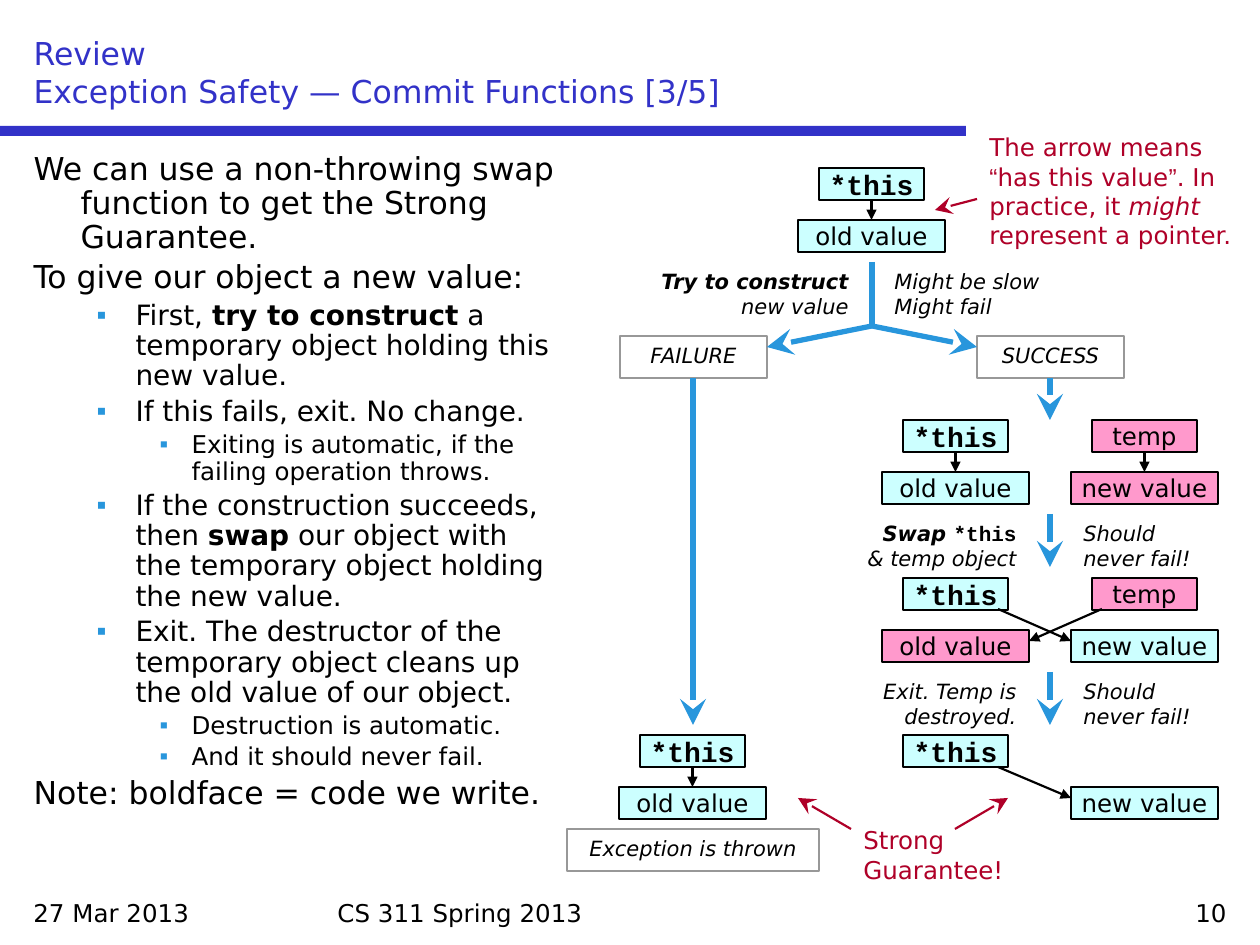
import pptx
import pptx.dml.color
import pptx.enum.shapes
import pptx.enum.text
import pptx.oxml.ns
import pptx.oxml.xmlchemy
import pptx.util
from lxml import etree

EMU_PER_PIXEL = 914400 / 126
SANS, MONO = "DejaVu Sans", "Courier New"
BLACK, WHITE, GREY = "000000", "FFFFFF", "989898"
INDIGO, BLUE, RED = "3232C8", "2896DC", "AF0028"
CYAN, PINK = "CCFFFF", "FF99CC"
NAME_WIDTH, VALUE_WIDTH, BOX_HEIGHT, VALUE_DROP = 105, 147, 32, 52

ALIGN = pptx.enum.text.PP_ALIGN
ANCHOR = pptx.enum.text.MSO_ANCHOR
AUTO_SIZE = pptx.enum.text.MSO_AUTO_SIZE
qn = pptx.oxml.ns.qn

# Left margin and hanging indent in pixels, then text size, for each level
OUTLINE_LEVELS = [(47, -47, 18), (102, -39, 16), (158, -32, 14)]
OUTLINE = [
    (0, "We can use a non-throwing swap function to get the Strong Guarantee."),
    (0, "To give our object a new value:"),
    (1, [("First, ", ""), ("try to construct", "b"),
         (" a temporary object holding this new value.", "")]),
    (1, "If this fails, exit. No change."),
    (2, "Exiting is automatic, if the failing operation throws."),
    (1, [("If the construction succeeds, then ", ""), ("swap", "b"),
         (" our object with the temporary object holding the new value.", "")]),
    (1, "Exit. The destructor of the temporary object cleans up "
        "the old value of our object."),
    (2, "Destruction is automatic."),
    (2, "And it should never fail."),
    (0, "Note: boldface = code we write."),
]


def px(pixels):
    return pptx.util.Emu(round(pixels * EMU_PER_PIXEL))


def rgb(color):
    return pptx.dml.color.RGBColor.from_string(color)


def write(paragraph, content, size, color=BLACK, family=SANS, style="",
          align=ALIGN.LEFT):
    """Fill a paragraph with a string or with (text, style, family) runs."""
    paragraph.alignment = align
    font = paragraph.font
    font.name, font.size = family, pptx.util.Pt(size)
    font.color.rgb = rgb(color)
    font.bold, font.italic = "b" in style, "i" in style
    parts = [(content, style)] if isinstance(content, str) else content
    for text, run_style, *run_family in parts:
        for number, line in enumerate(text.split("\n")):
            if number:
                paragraph.add_line_break()
            if not line:
                continue
            run = paragraph.add_run()
            run.text = line
            if run_style != style:
                run.font.bold = "b" in run_style
                run.font.italic = "i" in run_style
            if run_family:
                run.font.name = run_family[0]


def place(shape, left, top, width, height):
    shape.left, shape.top = px(left), px(top)
    shape.width, shape.height = px(width), px(height)


def add_bullet(paragraph):
    properties = paragraph._p.get_or_add_pPr()
    bullet_color = etree.SubElement(properties, qn("a:buClr"))
    etree.SubElement(bullet_color, qn("a:srgbClr")).set("val", BLUE)
    etree.SubElement(properties, qn("a:buChar")).set("char", "▪")


def fill_outline(body):
    frame = body.text_frame
    frame.auto_size = AUTO_SIZE.NONE
    for number, (level, content) in enumerate(OUTLINE):
        item = frame.add_paragraph() if number else frame.paragraphs[0]
        margin, indent, size = OUTLINE_LEVELS[level]
        item.level = level
        item.line_spacing = 0.9
        item.space_before = pptx.util.Pt(size * 0.2)
        properties = item._p.get_or_add_pPr()
        properties.set("marL", str(px(margin)))
        properties.set("indent", str(px(indent)))
        if level:
            add_bullet(item)
        else:
            etree.SubElement(properties, qn("a:buNone"))
        write(item, content, size)


def add_label(slide, box, content, size, grow=True, **look):
    label = slide.shapes.add_textbox(*map(px, box))
    label.text_frame.word_wrap = True
    label.text_frame.auto_size = (
        AUTO_SIZE.SHAPE_TO_FIT_TEXT if grow else AUTO_SIZE.NONE)
    write(label.text_frame.paragraphs[0], content, size, **look)


def add_box(slide, box, fill, outline=None):
    rectangle = slide.shapes.add_shape(
        pptx.enum.shapes.MSO_SHAPE.RECTANGLE, *map(px, box))
    rectangle.shadow.inherit = False
    rectangle.fill.solid()
    rectangle.fill.fore_color.rgb = rgb(fill)
    if outline:
        rectangle.line.color.rgb = rgb(outline)
        rectangle.line.width = pptx.util.Pt(1.25)
    else:
        rectangle.line.fill.background()
    return rectangle


def add_cell(slide, left, top, width, text, fill):
    """A variable name or a value in the memory diagram."""
    frame = add_box(slide, (left, top, width, BOX_HEIGHT), fill, BLACK).text_frame
    frame.word_wrap = False
    frame.vertical_anchor = ANCHOR.MIDDLE
    look = dict(size=14)
    if text == "*this":
        look = dict(size=16, family=MONO, style="b")
    write(frame.paragraphs[0], text, align=ALIGN.CENTER, **look)


def add_outcome(slide, left, top, width, text):
    frame = add_box(slide, (left, top, width, 42), WHITE, GREY).text_frame
    frame.vertical_anchor = ANCHOR.TOP
    write(frame.paragraphs[0], text, 12, style="i", align=ALIGN.CENTER)


def add_arrow(slide, ends, color=BLACK, weight=1.25, head="triangle"):
    arrow = slide.shapes.add_connector(
        pptx.enum.shapes.MSO_CONNECTOR.STRAIGHT, *map(px, ends))
    arrow.line.color.rgb = rgb(color)
    arrow.line.width = pptx.util.Pt(weight)
    properties = arrow._element.spPr
    if head:
        tip = etree.SubElement(properties.find(qn("a:ln")), qn("a:tailEnd"))
        tip.set("type", head)
        extent = "lg" if head == "stealth" else "med"
        tip.set("w", extent)
        tip.set("len", extent)
    etree.SubElement(properties, qn("a:effectLst"))


def add_variable(slide, left, top, name, name_fill, value=None, value_fill=None,
                 linked=True):
    """A name box, its value box below, and the arrow between them."""
    add_cell(slide, left, top, NAME_WIDTH, name, name_fill)
    if value:
        add_cell(slide, left - 21, top + VALUE_DROP, VALUE_WIDTH, value, value_fill)
    if value and linked:
        middle = left + NAME_WIDTH / 2
        add_arrow(slide, (middle, top + BOX_HEIGHT, middle, top + VALUE_DROP))


def draw_states(slide):
    add_variable(slide, 819, 168, "*this", CYAN, "old value", CYAN)
    add_variable(slide, 640, 735, "*this", CYAN, "old value", CYAN)
    add_variable(slide, 903, 420, "*this", CYAN, "old value", CYAN)
    add_variable(slide, 1092, 420, "temp", PINK, "new value", PINK)
    # After the swap the arrows cross
    add_variable(slide, 903, 578, "*this", CYAN, "old value", PINK, linked=False)
    add_variable(slide, 1092, 578, "temp", PINK, "new value", CYAN, linked=False)
    # After the exit only the new value remains
    add_variable(slide, 903, 735, "*this", CYAN)
    add_cell(slide, 1071, 787, VALUE_WIDTH, "new value", CYAN)
    for ends in [(998, 609, 1071, 641), (1102, 609, 1029, 641),
                 (998, 767, 1071, 798)]:
        add_arrow(slide, ends)
    add_outcome(slide, 620, 336, 147, "FAILURE")
    add_outcome(slide, 977, 336, 147, "SUCCESS")
    add_outcome(slide, 567, 829, 252, "Exception is thrown")


def draw_flow(slide):
    for ends in [(872, 326, 977, 347), (872, 326, 767, 347),
                 (693, 378, 693, 725), (1050, 378, 1050, 420),
                 (1050, 514, 1050, 567), (1050, 672, 1050, 725)]:
        add_arrow(slide, ends, BLUE, 3, "stealth")
    add_arrow(slide, (872, 262, 872, 326), BLUE, 3, None)
    for ends in [(977, 199, 935, 210), (851, 829, 798, 798),
                 (955, 829, 1008, 798)]:
        add_arrow(slide, ends, RED, 1.25, "stealth")


def write_labels(slide):
    # Steps, left of the flow arrows
    for box, content in [
        ((588, 262, 273, 64), [("Try to construct\n", "bi"), ("new value", "i")]),
        ((829, 514, 200, 64), [("Swap ", "bi"), ("*this\n", "b", MONO),
                               ("& temp object", "i")]),
        ((840, 672, 189, 64), "Exit. Temp is destroyed."),
    ]:
        add_label(slide, box, content, 12, style="i", align=ALIGN.RIGHT)
    # Risks, right of the flow arrows
    add_label(slide, (882, 262, 199, 64), "Might be slow\nMight fail", 12, style="i")
    for top in (514, 672):
        add_label(slide, (1071, top, 158, 64), "Should never fail!", 12, style="i")
    # Red remarks
    add_label(slide, (977, 126, 273, 132), [
        ("The arrow means ", ""), ("“", "", "Arial"), ("has this value", ""),
        ("”", "", "Arial"), (". In practice, it ", ""), ("might", "i"),
        (" represent a pointer.", "")], 14, color=RED)
    add_label(slide, (851, 819, 179, 73), "Strong Guarantee!", 14, color=RED)
    # Footer
    for left, width, text, align in [
        (21, 294, "27 Mar 2013", ALIGN.LEFT),
        (325, 609, "CS 311 Spring 2013", ALIGN.LEFT),
        (945, 294, "10", ALIGN.RIGHT),
    ]:
        add_label(slide, (left, 892, width, 42), text, 14, grow=False, align=align)


def main():
    deck = pptx.Presentation()
    deck.slide_width, deck.slide_height = px(1260), px(945)
    slide = deck.slides.add_slide(deck.slide_layouts[1])

    title, body = slide.placeholders
    place(title, 21, 21, 1218, 95)
    title.text_frame.auto_size = AUTO_SIZE.NONE
    title.text_frame.vertical_anchor = ANCHOR.BOTTOM
    write(title.text_frame.paragraphs[0],
          "Review\nException Safety — Commit Functions [3/5]", 18, color=INDIGO)
    place(body, 21, 147, 546, 735)
    fill_outline(body)

    add_box(slide, (0, 126, 966, 10), INDIGO)
    draw_states(slide)
    draw_flow(slide)
    write_labels(slide)
    deck.save("out.pptx")


main()
